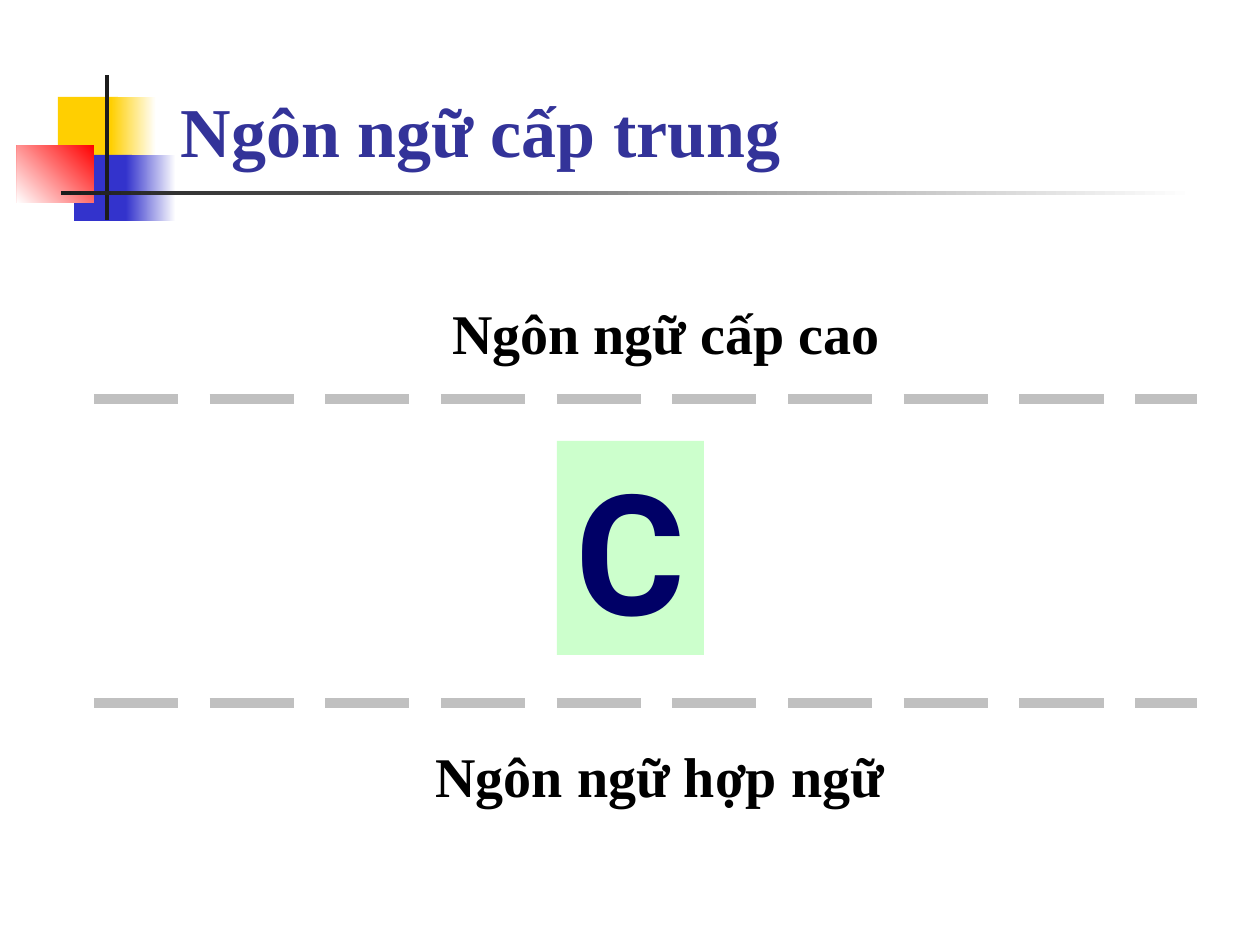
from lxml import etree
from pptx import Presentation
from pptx.dml.color import RGBColor
from pptx.enum.dml import MSO_LINE
from pptx.enum.shapes import MSO_CONNECTOR, MSO_SHAPE
from pptx.enum.text import MSO_ANCHOR, MSO_AUTO_SIZE, PP_ALIGN
from pptx.oxml.ns import qn
from pptx.util import Emu, Pt

RECTANGLE = MSO_SHAPE.RECTANGLE
STRAIGHT = MSO_CONNECTOR.STRAIGHT
LONG_DASH = MSO_LINE.LONG_DASH
LEFT, CENTER = PP_ALIGN.LEFT, PP_ALIGN.CENTER
TOP, BOTTOM = MSO_ANCHOR.TOP, MSO_ANCHOR.BOTTOM
NO_FIT = MSO_AUTO_SIZE.NONE

WHITE = RGBColor(0xFF, 0xFF, 0xFF)
BLACK = RGBColor(0x00, 0x00, 0x00)
YELLOW = RGBColor(0xFF, 0xCF, 0x01)
BLUE = RGBColor(0x33, 0x33, 0xCC)
RED = RGBColor(0xFF, 0x00, 0x00)
CHARCOAL = RGBColor(0x1C, 0x1C, 0x1C)
INDIGO = RGBColor(0x33, 0x33, 0x99)
GREY = RGBColor(0xC0, 0xC0, 0xC0)
MINT = RGBColor(0xCC, 0xFF, 0xCC)
NAVY = RGBColor(0x00, 0x00, 0x66)

SERIF, SANS = "Times New Roman", "Roboto"
TITLE_LAYOUT = 5
EMU_PER_PX = 914400 / 126

# Content: boxes are left, top, width, height in px
TITLE = ("Ngôn ngữ cấp trung", (168, 73, 1061, 105))
LEVELS = [
    ("Ngôn ngữ cấp cao", (440, 292, 452, 81)),
    ("Ngôn ngữ hợp ngữ", (423, 735, 474, 81)),
]
LANGUAGE = ("C", (557, 441, 147, 214))
DIVIDER_TOPS = [399, 703]
DIVIDER_LEFT, DIVIDER_RIGHT = 94, 1197

# Decoration: box, colour, angle of the fade to white (None is solid)
ORNAMENTS = [
    ((58, 97, 60, 66), YELLOW, None),
    ((111, 97, 45, 66), YELLOW, 0),
    ((74, 155, 58, 66), BLUE, None),
    ((126, 155, 50, 66), BLUE, 0),
    ((17, 145, 77, 58), RED, 225),
    ((105, 75, 4, 145), CHARCOAL, None),
    ((61, 191, 1134, 4), CHARCOAL, 0),
]


def px(length):
    return Emu(round(length * EMU_PER_PX))


def add_block(slide, box, color, fade=None):
    block = slide.shapes.add_shape(RECTANGLE, *map(px, box))
    block.shadow.inherit = False
    block.line.fill.background()
    if fade is None:
        block.fill.solid()
        block.fill.fore_color.rgb = color
    else:
        block.fill.gradient()
        block.fill.gradient_angle = fade
        for stop, shade in zip(block.fill.gradient_stops, (color, WHITE)):
            stop.color.rgb = shade
    return block


def write(shape, text, size, color, font=SERIF, align=CENTER, anchor=TOP, wrap=True):
    frame = shape.text_frame
    frame.auto_size = NO_FIT
    frame.word_wrap = wrap
    frame.vertical_anchor = anchor
    paragraph = frame.paragraphs[0]
    paragraph.alignment = align
    run = paragraph.add_run()
    run.text = text
    run.font.name = font
    run.font.size = Pt(size)
    run.font.bold = True
    run.font.color.rgb = color


def add_divider(slide, top):
    divider = slide.shapes.add_connector(
        STRAIGHT, px(DIVIDER_LEFT), px(top), px(DIVIDER_RIGHT), px(top))
    divider.line.color.rgb = GREY
    divider.line.width = Pt(6)
    divider.line.dash_style = LONG_DASH
    etree.SubElement(divider._element.spPr, qn("a:effectLst"))


def main():
    deck = Presentation()
    deck.slide_width, deck.slide_height = px(1260), px(945)
    slide = deck.slides.add_slide(deck.slide_layouts[TITLE_LAYOUT])

    # Corner ornament and title rule
    for box, color, fade in ORNAMENTS:
        add_block(slide, box, color, fade)

    # Title
    text, box = TITLE
    title = slide.shapes.title
    title.left, title.top, title.width, title.height = map(px, box)
    write(title, text, 40, INDIGO, align=LEFT, anchor=BOTTOM)

    # Levels above and below the language
    for text, box in LEVELS:
        level = slide.shapes.add_textbox(*map(px, box))
        write(level, text, 32, BLACK, wrap=False)

    # Language in the middle
    text, box = LANGUAGE
    write(add_block(slide, box, MINT), text, 96, NAVY, font=SANS)

    # Dashed dividers
    for top in DIVIDER_TOPS:
        add_divider(slide, top)

    deck.save("out.pptx")


if __name__ == "__main__":
    main()
